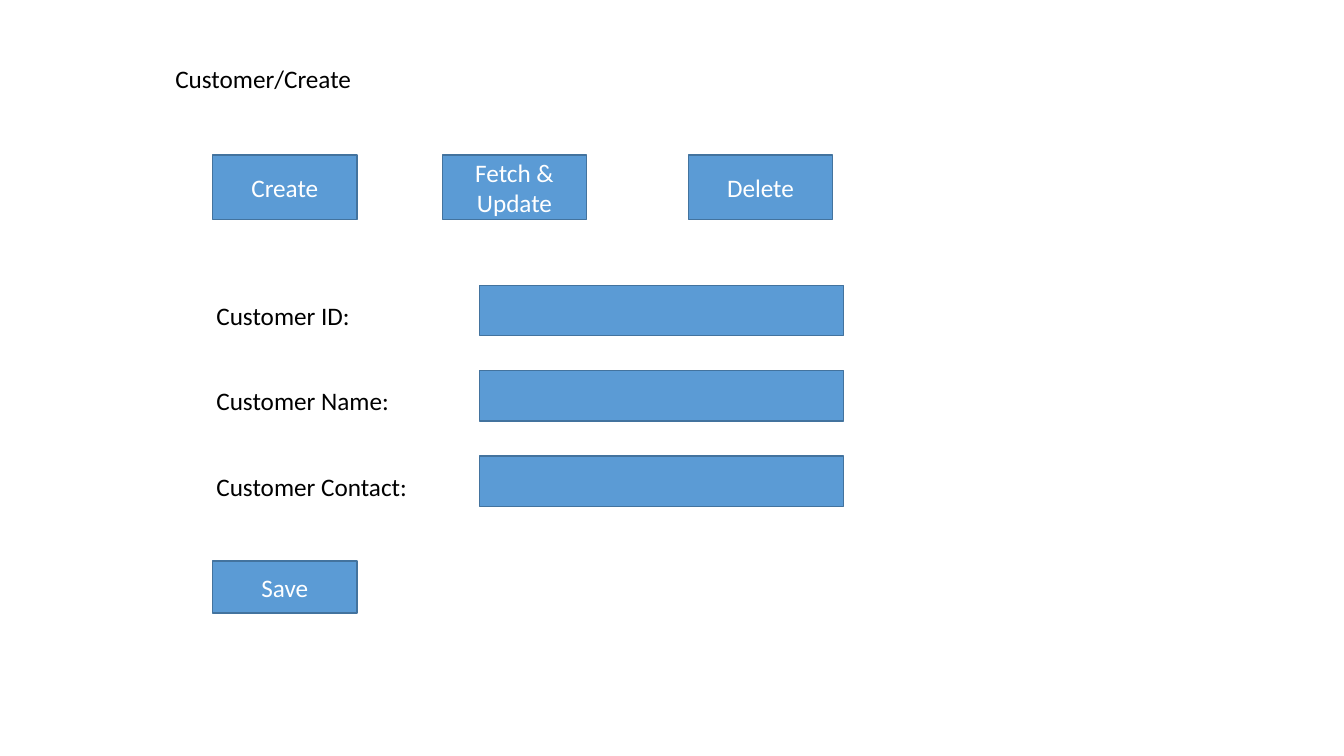
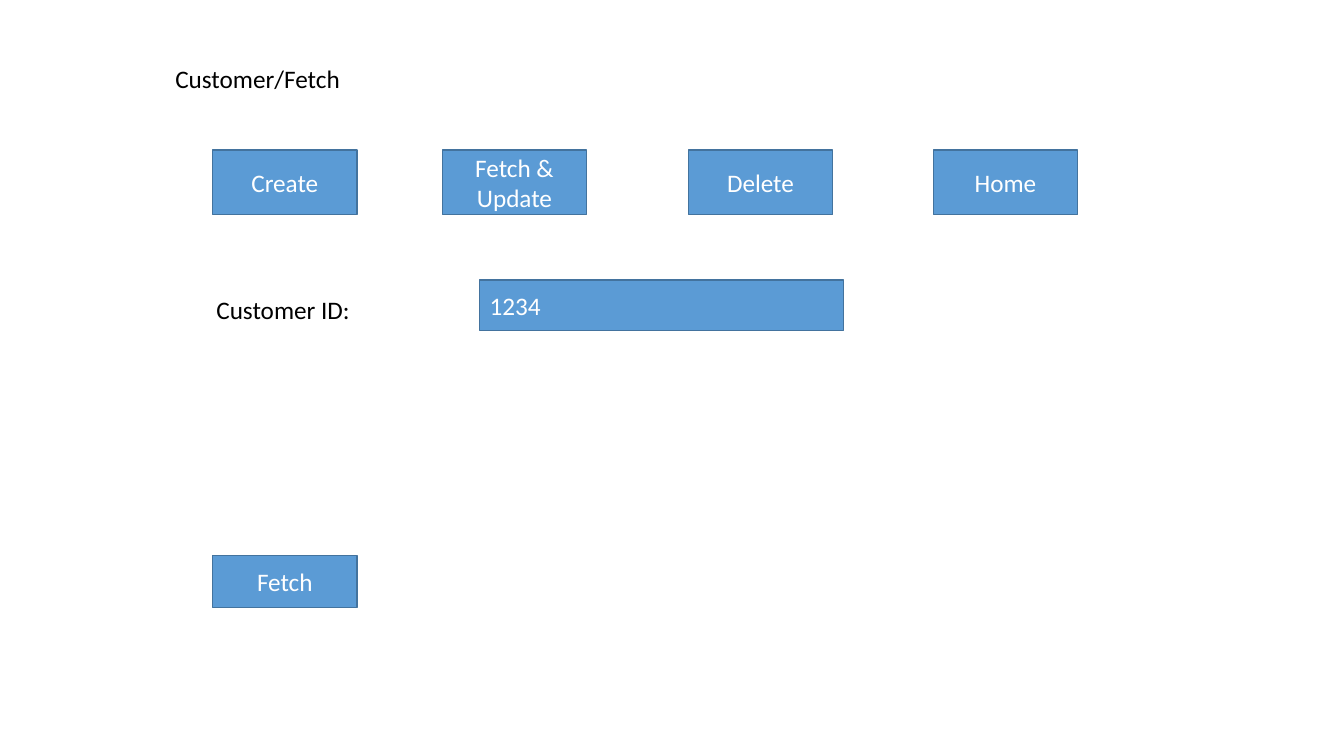
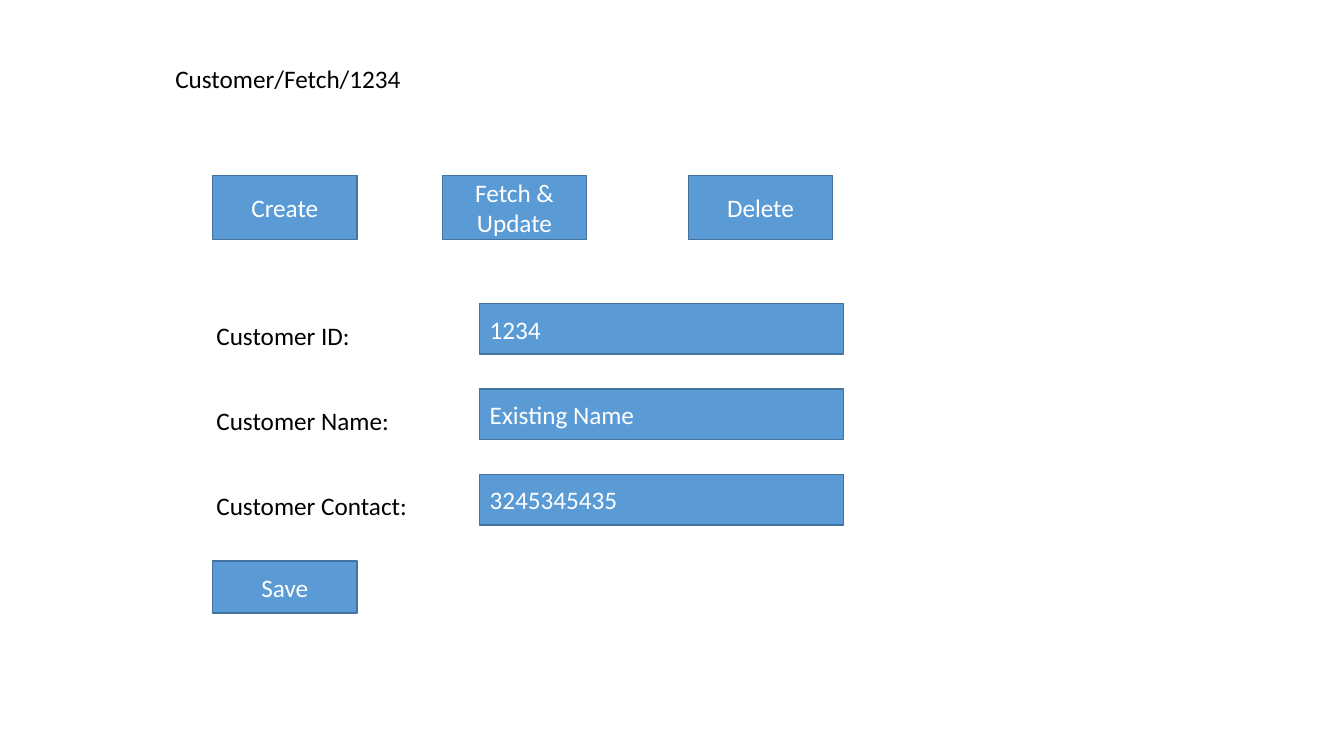
from pptx import Presentation
from pptx.dml.color import RGBColor
from pptx.enum.shapes import MSO_SHAPE as Shape
from pptx.enum.text import MSO_ANCHOR as Anchor, MSO_AUTO_SIZE as AutoSize, PP_ALIGN as Align
from pptx.util import Pt

COLORS = {"fill": "5B9BD5", "border": "43739E", "light": "FFFFFF", "dark": "000000"}
NAV_LEFTS = (152, 316, 491.75, 666.75)
FIELD_PITCH = 61
LABEL_WIDTHS = {"Customer ID:": 111, "Customer Name:": 139, "Customer Contact:": 152}


class Wireframe:
    font = "Calibri"
    size = 18

    def __init__(self):
        self.deck = Presentation()
        self.deck.slide_width = Pt(960)
        self.deck.slide_height = Pt(540)
        self.page = None

    def add_text(self, shape, text, color, align, anchor):
        frame = shape.text_frame
        frame.vertical_anchor = anchor
        para = frame.paragraphs[0]
        para.alignment = align
        span = para.add_run()
        span.text = text
        span.font.name = self.font
        span.font.size = Pt(self.size)
        span.font.color.rgb = RGBColor.from_string(COLORS[color])

    def add_text_line(self, shape, text):
        self.add_text(shape, text, "dark", Align.LEFT, Anchor.TOP)
        shape.text_frame.word_wrap = False
        shape.text_frame.auto_size = AutoSize.SHAPE_TO_FIT_TEXT

    def start_page(self, title, width):
        self.page = self.deck.slides.add_slide(self.deck.slide_layouts[5])
        heading = self.page.shapes.title
        heading.left, heading.top = Pt(118), Pt(41.75)
        heading.width, heading.height = Pt(width), Pt(29)
        self.add_text_line(heading, title)

    def box(self, left, top, width, height, text="", align=Align.CENTER):
        box = self.page.shapes.add_shape(
            Shape.RECTANGLE, Pt(left), Pt(top), Pt(width), Pt(height))
        box.shadow.inherit = False
        box.fill.solid()
        box.fill.fore_color.rgb = RGBColor.from_string(COLORS["fill"])
        box.line.color.rgb = RGBColor.from_string(COLORS["border"])
        box.line.width = Pt(1)
        if text:
            self.add_text(box, text, "light", align, Anchor.MIDDLE)

    def navigation(self, top, names):
        for left, name in zip(NAV_LEFTS, names):
            self.box(left, top, 103, 46, name)

    def label(self, top, text):
        label = self.page.shapes.add_textbox(
            Pt(147.5), Pt(top), Pt(LABEL_WIDTHS[text]), Pt(29))
        self.add_text_line(label, text)

    def form(self, field_top, label_top, values):
        for row, (name, value) in enumerate(zip(LABEL_WIDTHS, values)):
            self.box(342.75, field_top + row * FIELD_PITCH, 260, 36, value, Align.LEFT)
            self.label(label_top + row * FIELD_PITCH, name)

    def action(self, top, name):
        self.box(152, top, 103, 37, name)


def main():
    wireframe = Wireframe()
    menu = ["Create", "Fetch & Update", "Delete"]

    wireframe.start_page("Customer/Create", 142)
    wireframe.navigation(110.75, menu)
    wireframe.form(203.75, 210.75, ["", "", ""])
    wireframe.action(400.75, "Save")

    wireframe.start_page("Customer/Fetch", 133)
    wireframe.navigation(107.25, menu + ["Home"])
    wireframe.form(200, 207, ["1234"])
    wireframe.action(397, "Fetch")

    wireframe.start_page("Customer/Fetch/1234", 177)
    wireframe.navigation(125.25, menu)
    wireframe.form(217, 225, ["1234", "Existing Name", "3245345435"])
    wireframe.action(400.75, "Save")

    wireframe.deck.save("out.pptx")


if __name__ == "__main__":
    main()
